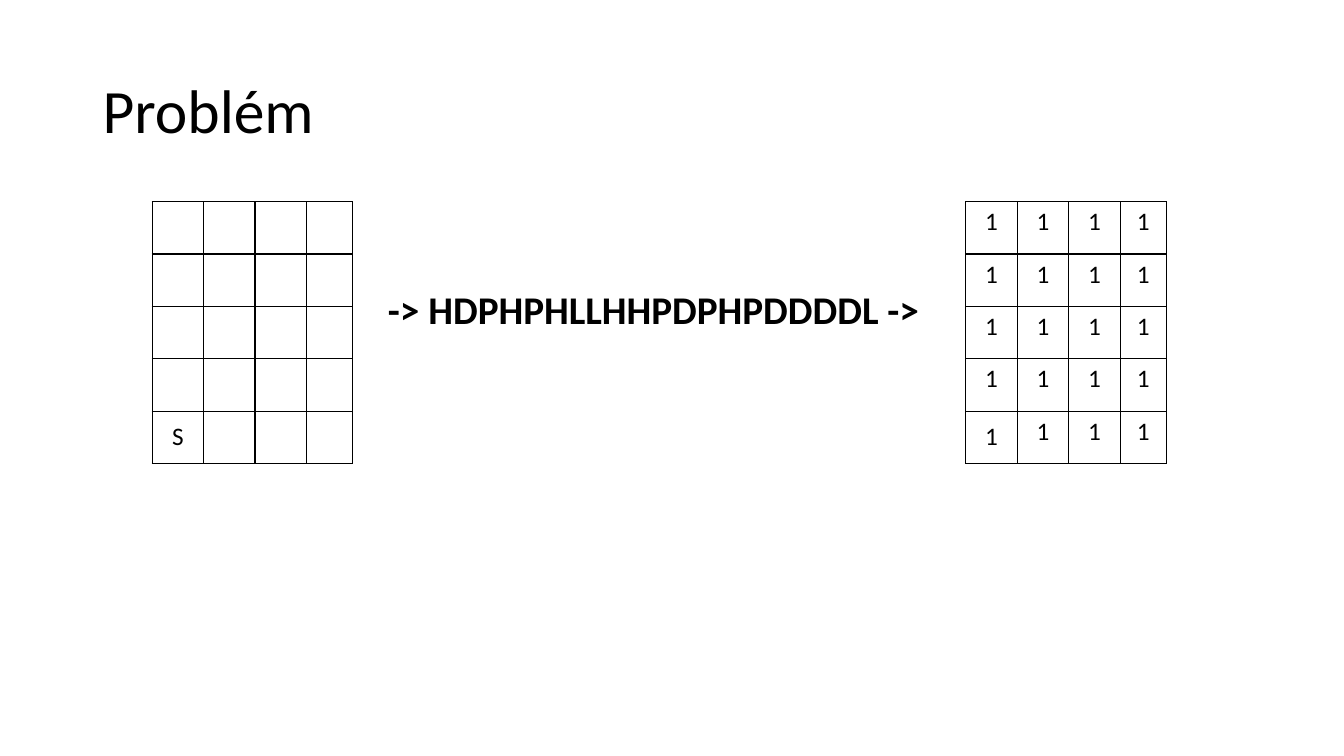
from dataclasses import dataclass

from lxml.etree import SubElement
from pptx import Presentation
from pptx.dml.color import RGBColor
from pptx.enum.text import MSO_ANCHOR as Anchor, PP_ALIGN as Align
from pptx.oxml.ns import qn
from pptx.util import Inches, Pt

BLACK = RGBColor(0, 0, 0)
FONT = "Calibri"
ROWS = 5
COLUMN_WIDTHS = [0.51, 0.51, 0.51, 0.46]
ROW_HEIGHT = 0.52
GRID_TOP = 2
BORDER_WIDTH = Pt(1)


@dataclass
class Label:
    text: str
    left: float
    top: float
    width: float
    height: float
    size: int
    bold: bool = False
    anchor: Anchor = Anchor.TOP
    line_spacing: float = 1.0


@dataclass
class Grid:
    left: float
    values: list[list[str]]


def set_font(font, size: int, bold: bool = False) -> None:
    formats = {"name": FONT, "size": Pt(size), "bold": bold}
    for name, value in formats.items():
        setattr(font, name, value)
    font.color.rgb = BLACK


def add_label(slide, label: Label) -> None:
    box = slide.shapes.add_textbox(
        Inches(label.left), Inches(label.top), Inches(label.width), Inches(label.height)
    )
    frame = box.text_frame
    frame.word_wrap = True
    frame.vertical_anchor = label.anchor
    paragraph = frame.paragraphs[0]
    paragraph.line_spacing = label.line_spacing
    run = paragraph.add_run()
    run.text = label.text
    set_font(run.font, label.size, label.bold)


def add_borders(cell) -> None:
    properties = cell._tc.get_or_add_tcPr()
    for index, side in enumerate(("lnL", "lnR", "lnT", "lnB")):
        line = SubElement(properties, qn(f"a:{side}"), w=str(BORDER_WIDTH))
        fill = SubElement(line, qn("a:solidFill"))
        SubElement(fill, qn("a:srgbClr"), val=str(BLACK))
        properties.insert(index, line)  # borders precede the cell fill


def add_grid(slide, grid: Grid) -> None:
    table = slide.shapes.add_table(
        ROWS, len(COLUMN_WIDTHS), Inches(grid.left), Inches(GRID_TOP),
        Inches(sum(COLUMN_WIDTHS)), Inches(ROWS * ROW_HEIGHT),
    ).table
    table.first_row = table.horz_banding = False
    for column, width in zip(table.columns, COLUMN_WIDTHS):
        column.width = Inches(width)
    for row, values in zip(table.rows, grid.values):
        row.height = Inches(ROW_HEIGHT)
        for cell, value in zip(row.cells, values):
            cell.fill.background()
            add_borders(cell)
            paragraph = cell.text_frame.paragraphs[0]
            paragraph.alignment = Align.CENTER
            if value:
                run = paragraph.add_run()
                run.text = value
                set_font(run.font, 18)
    # The start cell is centred vertically
    table.cell(ROWS - 1, 0).vertical_anchor = Anchor.MIDDLE


presentation = Presentation()
presentation.slide_width = Inches(13.33)
presentation.slide_height = Inches(7.5)
slide = presentation.slides.add_slide(presentation.slide_layouts[6])

# Title
add_label(slide, Label("Problém", 0.92, 0.4, 11.5, 1.45, 44,
                       anchor=Anchor.MIDDLE, line_spacing=0.9))

# Grid with the start cell, and grid with every cell visited
column_count = len(COLUMN_WIDTHS)
start_values = [[""] * column_count for _ in range(ROWS)]
start_values[-1][0] = "S"
visited_values = [["1"] * column_count for _ in range(ROWS)]
for grid in (Grid(1.51, start_values), Grid(9.58, visited_values)):
    add_grid(slide, grid)

# Moves leading from one grid to the other
add_label(slide, Label("-> HDPHPHLLHHPDPHPDDDDL ->", 3.75, 2.78, 5.83, 1.04, 28, bold=True))

presentation.save("out.pptx")
